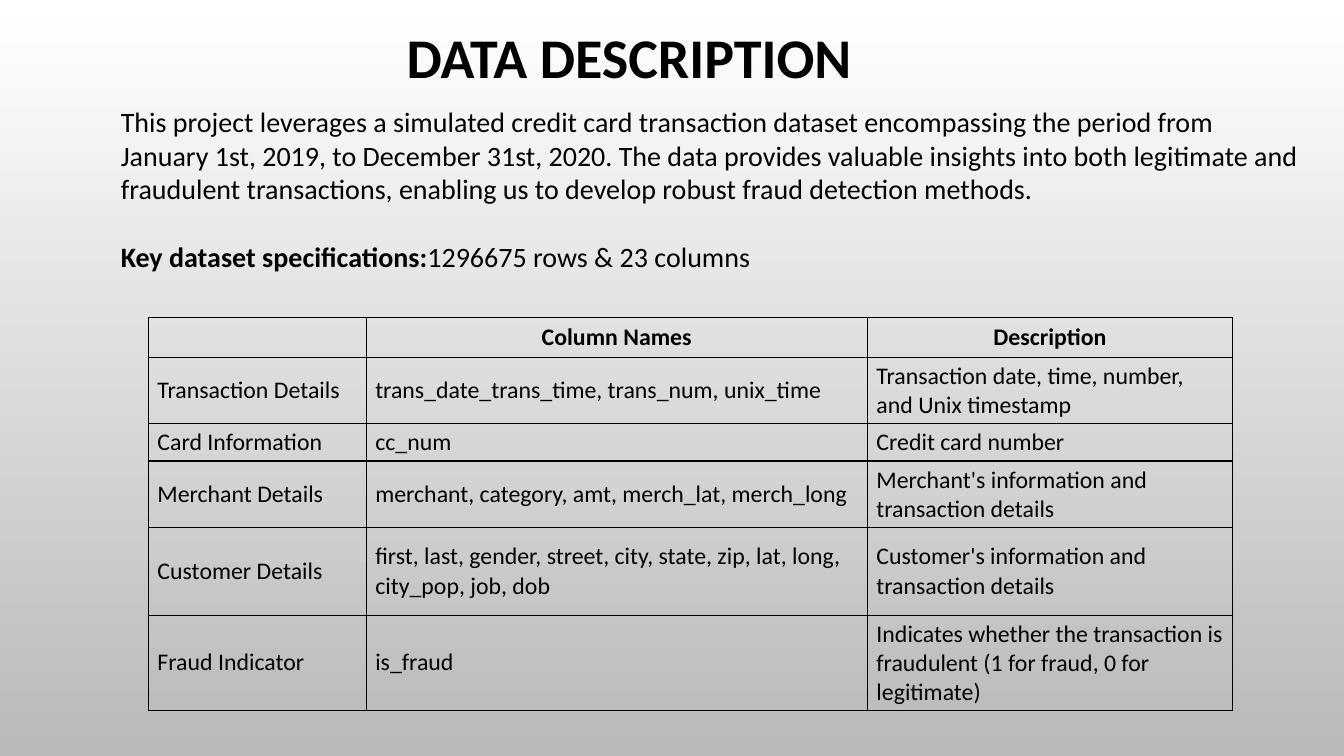
from lxml import etree
from pptx import Presentation, util as u
from pptx.dml.color import RGBColor
from pptx.enum import text
from pptx.oxml.ns import qn

COLORS = {"ink": "000000", "top": "FFFFFF", "bottom": "B9B9B9"}
INTRO = (
    "This project leverages a simulated credit card transaction dataset encompassing "
    "the period from January 1st, 2019, to December 31st, 2020. The data provides "
    "valuable insights into both legitimate and fraudulent transactions, enabling us "
    "to develop robust fraud detection methods."
)
ROWS = [
    ("", "Column Names", "Description"),
    ("Transaction Details", "trans_date_trans_time, trans_num, unix_time",
     "Transaction date, time, number, and Unix timestamp"),
    ("Card Information", "cc_num", "Credit card number"),
    ("Merchant Details", "merchant, category, amt, merch_lat, merch_long",
     "Merchant's information and transaction details"),
    ("Customer Details",
     "first, last, gender, street, city, state, zip, lat, long, city_pop, job, dob",
     "Customer's information and transaction details"),
    ("Fraud Indicator", "is_fraud",
     "Indicates whether the transaction is fraudulent (1 for fraud, 0 for legitimate)"),
]
COL_WIDTHS = (155.6, 358, 260.8)
ROW_HEIGHTS = (26, 46, 26, 46, 63, 65.5)


def rgb(name):
    """Return the named colour."""
    return RGBColor.from_string(COLORS[name])


def add_text(p, words, size=20, bold=False, align=text.PP_ALIGN.LEFT):
    """Append a formatted run to a paragraph."""
    p.alignment = align
    r = p.add_run()
    r.text = words
    r.font.name = "Calibri"
    r.font.size = u.Pt(size)
    r.font.bold = bold
    r.font.color.rgb = rgb("ink")


def add_box(s, x, y, w, h, anchor=text.MSO_ANCHOR.TOP):
    """Add a wrapping text box and return its text frame."""
    tf = s.shapes.add_textbox(u.Pt(x), u.Pt(y), u.Pt(w), u.Pt(h)).text_frame
    tf.word_wrap = True
    tf.vertical_anchor = anchor
    return tf


def add_background(s):
    """Fill the slide with a vertical gradient."""
    fill = s.background.fill
    fill.gradient()
    fill.gradient_angle = 270
    for stop, name, position in zip(fill.gradient_stops, ("top", "bottom"), (0, 1)):
        stop.color.rgb = rgb(name)
        stop.position = position


def add_title(s, x, y, w, h):
    """Add the centred heading."""
    p = add_box(s, x, y, w, h, text.MSO_ANCHOR.MIDDLE).paragraphs[0]
    p.line_spacing = 0.9
    add_text(p, "DATA DESCRIPTION", size=40, bold=True, align=text.PP_ALIGN.CENTER)


def add_intro(s, x, y, w, h):
    """Add the dataset summary and its size."""
    tf = add_box(s, x, y, w, h)
    add_text(tf.paragraphs[0], INTRO)
    p = tf.add_paragraph()
    p.space_before = u.Pt(24)
    add_text(p, "Key dataset specifications:", bold=True)
    add_text(p, "1296675 rows & 23 columns")


def add_borders(cell, width=1):
    """Draw a solid line on each side of a cell."""
    tc_pr = cell._tc.get_or_add_tcPr()
    for i, side in enumerate(("lnL", "lnR", "lnT", "lnB")):
        ln = etree.Element(qn(f"a:{side}"), w=str(u.Pt(width)))
        fill = etree.SubElement(ln, qn("a:solidFill"))
        etree.SubElement(fill, qn("a:srgbClr"), val=COLORS["ink"])
        tc_pr.insert(i, ln)


def add_columns_table(s, x, y, w, h):
    """Add the table of dataset columns."""
    table = s.shapes.add_table(
        len(ROWS), len(COL_WIDTHS), u.Pt(x), u.Pt(y), u.Pt(w), u.Pt(h)).table
    table.first_row = table.horz_banding = False
    for column, width in zip(table.columns, COL_WIDTHS):
        column.width = u.Pt(width)
    for i, (row, height) in enumerate(zip(table.rows, ROW_HEIGHTS)):
        row.height = u.Pt(height)
        header = i == 0
        align = text.PP_ALIGN.CENTER if header else text.PP_ALIGN.LEFT
        for cell, words in zip(row.cells, ROWS[i]):
            cell.fill.background()
            cell.vertical_anchor = text.MSO_ANCHOR.MIDDLE
            cell.margin_left = cell.margin_right = u.Pt(6.5)
            cell.margin_top = cell.margin_bottom = u.Pt(3.25)
            add_borders(cell)
            add_text(cell.text_frame.paragraphs[0], words, 17, header, align)


def main():
    """Build the slide and save it."""
    prs = Presentation()
    prs.slide_width, prs.slide_height = u.Pt(960), u.Pt(540)
    s = prs.slides.add_slide(prs.slide_layouts[6])
    add_background(s)
    add_title(s, 37.5, 16, 823.5, 54.5)
    add_intro(s, 79.2, 71.3, 855.5, 269)
    add_columns_table(s, 106, 227, sum(COL_WIDTHS), sum(ROW_HEIGHTS))
    prs.save("out.pptx")


if __name__ == "__main__":
    main()
